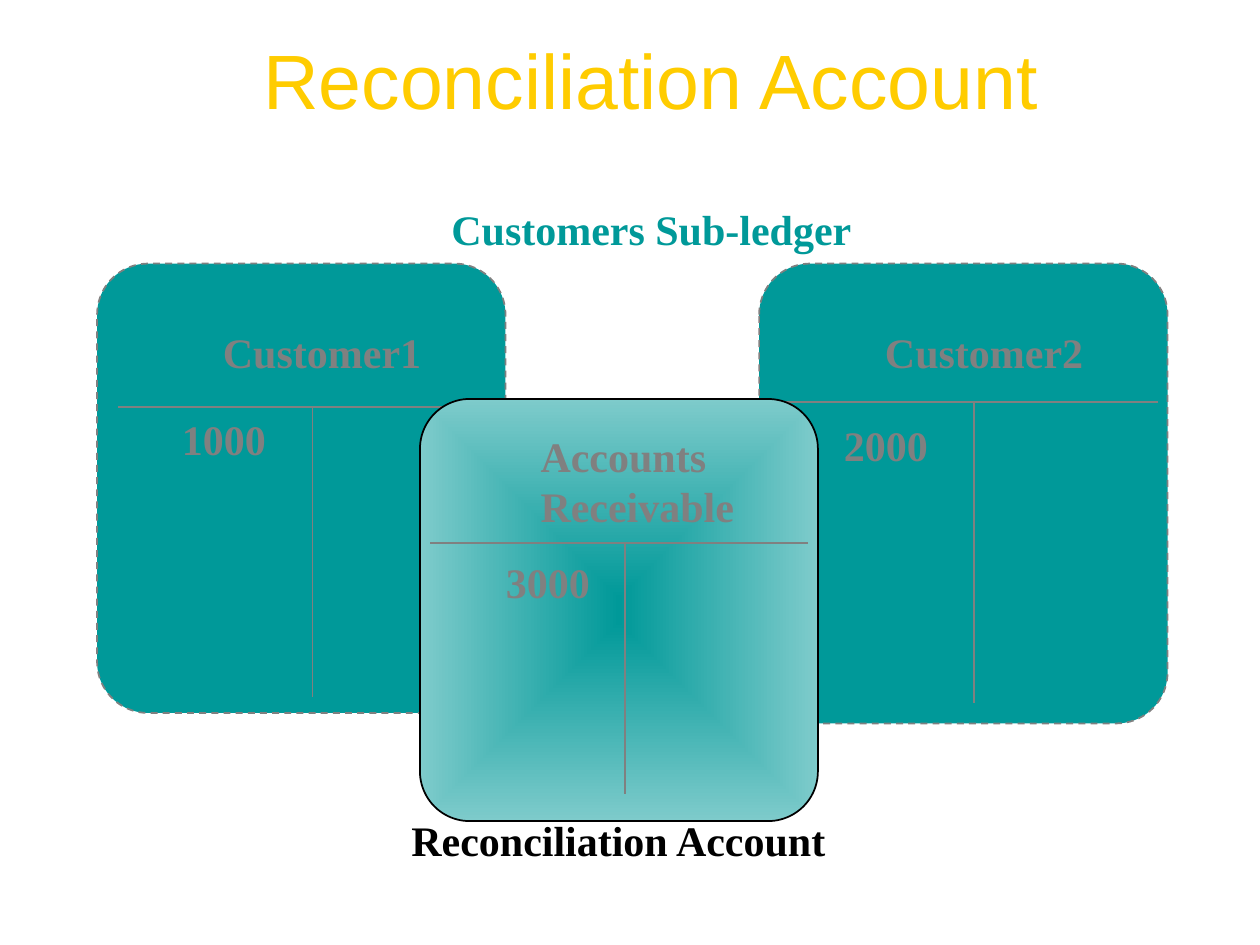
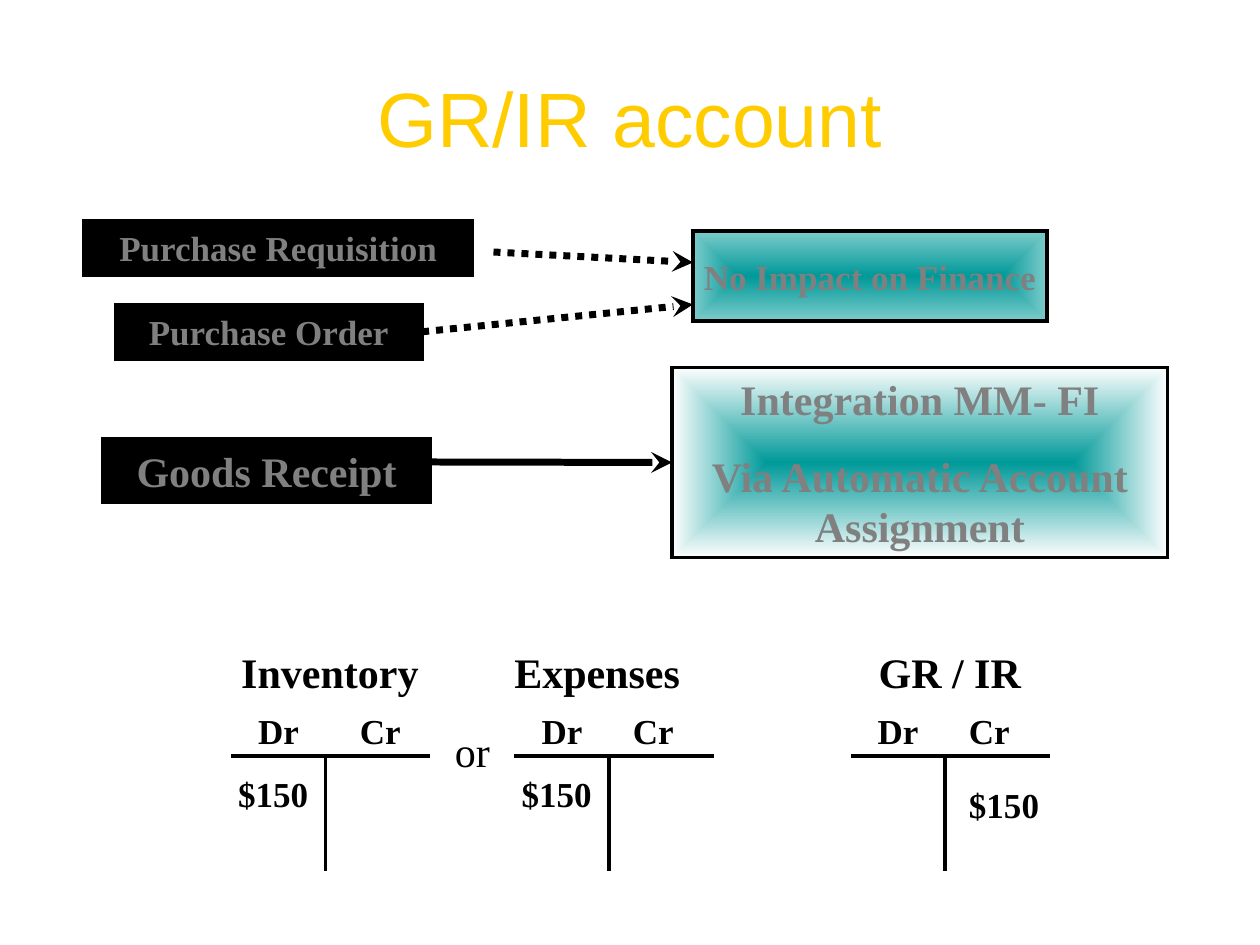
from dataclasses import dataclass
from lxml.etree import SubElement as Sub
from pptx import Presentation
from pptx.dml.color import RGBColor as Rgb
from pptx.enum.dml import MSO_LINE as Dash
from pptx.enum.shapes import MSO_CONNECTOR as Link, MSO_SHAPE as Form
from pptx.enum.text import MSO_ANCHOR as Anchor, MSO_AUTO_SIZE as Fit, PP_ALIGN as Align
from pptx.oxml.ns import qn
from pptx.util import Inches, Pt

WIDE, HIGH = Inches(10), Inches(7.5)
COLS, ROWS = 120, 90


@dataclass(frozen=True)
class Theme:
    gold: str = "FFCC00"
    teal: str = "009999"
    mint: str = "7ECBCB"
    pale: str = "FEFEFE"
    gray: str = "808080"
    black: str = "000000"
    sans: str = "Arial"
    serif: str = "Times New Roman"
    head: int = 44
    body: int = 24
    small: int = 20
    thin: int = 1
    mid: int = 2
    thick: int = 4


T = Theme()


def col(n):
    return round(WIDE * n / COLS)


def row(n):
    return round(HIGH * n / ROWS)


def span(box):
    """Turn left, top, width, height on the grid into lengths."""
    x, y, w, h = box
    return col(x), row(y), col(w), row(h)


def write(shape, text, size=T.body, color=T.black, font=T.serif, bold=True,
          align=Align.LEFT, anchor=Anchor.TOP, wrap=True, gap=0, tab=None):
    frame = shape.text_frame
    frame.auto_size, frame.word_wrap = Fit.NONE, wrap
    frame.vertical_anchor = anchor
    frame.text = text
    for i, para in enumerate(frame.paragraphs):
        if tab:
            stops = Sub(para._p.get_or_add_pPr(), qn("a:tabLst"))
            Sub(stops, qn("a:tab"), pos=str(col(tab)), algn="l")
        para.alignment = align
        if i:
            para.space_before = Pt(gap)
        para.font.size, para.font.bold, para.font.name = Pt(size), bold, font
        para.font.color.rgb = Rgb.from_string(color)


def label(slide, box, text, **form):
    write(slide.shapes.add_textbox(*span(box)), text, **form)


def title(slide, box, text):
    head = slide.shapes.title
    head.left, head.top, head.width, head.height = span(box)
    write(head, text, size=T.head, color=T.gold, font=T.sans, bold=False,
          align=Align.CENTER, anchor=Anchor.MIDDLE)


def stroke(line, color, width, dash=None):
    line.color.rgb = Rgb.from_string(color)
    line.width = Pt(width)
    if dash:
        line.dash_style = dash
    Sub(line._get_or_add_ln(), qn("a:miter"), lim="800000")


def shade(fill, color, edge=None):
    """Fill plainly, or from the centre colour out to the edge colour."""
    if not edge:
        fill.solid()
        fill.fore_color.rgb = Rgb.from_string(color)
        return
    fill.gradient()
    for stop, tone, place in zip(fill.gradient_stops, (color, edge), (0, 1)):
        stop.color.rgb, stop.position = Rgb.from_string(tone), place


def block(slide, box, color, edge=None, form=Form.RECTANGLE,
          line=T.black, width=T.mid, dash=None):
    shape = slide.shapes.add_shape(form, *span(box))
    shape.shadow.inherit = False
    shade(shape.fill, color, edge)
    if edge:
        grad = shape._element.spPr.find(qn("a:gradFill"))
        grad.remove(grad.find(qn("a:lin")))
        ray = Sub(grad, qn("a:path"), path="rect")
        Sub(ray, qn("a:fillToRect"), l="50000", t="50000", r="50000", b="50000")
    stroke(shape.line, line, width, dash)
    return shape


def rule(slide, start, end, color=T.black, width=T.mid, dash=None, arrow=False):
    (x1, y1), (x2, y2) = start, end
    line = slide.shapes.add_connector(
        Link.STRAIGHT, col(x1), row(y1), col(x2), row(y2))
    stroke(line.line, color, width, dash)
    if arrow:
        Sub(line.line._get_or_add_ln(), qn("a:tailEnd"), type="stealth")
    Sub(line._element.spPr, qn("a:effectLst"))
    return line


def cross(slide, x, y, wide, stem, deep, **look):
    """Draw the T of an account, from the left end of its bar."""
    rule(slide, (x, y), (x + wide, y), **look)
    rule(slide, (x + stem, y), (x + stem, y + deep), **look)


# Ledger cards

def card(slide, box, name, sum_, bar, inset, foot, name_at, sum_at, **look):
    x, y, w, h = box
    shape = block(slide, box, T.teal, form=Form.ROUNDED_RECTANGLE,
                  width=T.thin, **look)
    shape.adjustments[0] = 0.125
    cross(slide, x + inset, y + bar, 36, 18.5, h - bar - foot,
          color=T.gray, width=T.thin)
    dx, dy = name_at
    label(slide, (x + dx, y + dy, w - dx, bar - dy), name, color=T.gray)
    dx, dy = sum_at
    label(slide, (x + inset + dx, y + bar + dy, 11, 6), sum_, color=T.gray)


def ledger(slide):
    title(slide, (11, 0, 102, 15), "Reconciliation Account")
    label(slide, (41.8, 18.8, 40.5, 6), "Customers Sub-ledger",
          color=T.teal, wrap=False)
    sub = dict(inset=2, name_at=(10.8, 5.4), line=T.gray, dash=Dash.DASH)
    card(slide, (72.3, 25.1, 38.9, 43.8), "Customer2", "2000",
         bar=13.2, foot=1.9, sum_at=(4.9, 1.1), **sub)
    card(slide, (9.25, 25.1, 38.9, 42.8), "Customer1", "1000",
         bar=13.7, foot=1.5, sum_at=(4.9, 0), **sub)
    card(slide, (40, 38, 37.9, 40.2), "Accounts Receivable", "3000",
         bar=13.7, foot=2.6, inset=1, name_at=(10.3, 2.4), sum_at=(6, 0.7),
         edge=T.mint)
    label(slide, (38, 77, 57.2, 6), "Reconciliation Account")


# Purchasing steps and their effect on finance

def flow(slide):
    mid = dict(color=T.gray, align=Align.CENTER)
    steps = (
        ("Purchase Requisition", (8, 21, 37, 5.2), T.small),
        ("Purchase Order", (11, 29, 29.2, 5.2), T.small),
        ("Goods Receipt", (9.8, 41.8, 31.2, 6), T.body),
    )
    made = []
    for text, box, size in steps:
        made.append(block(slide, box, T.black))
        write(made[-1], text, size=size, **mid)

    none = block(slide, (66, 22, 33.7, 8.6), T.teal, T.mint)
    write(none, "No Impact on Finance", size=T.small,
          anchor=Anchor.MIDDLE, wrap=False, **mid)
    post = block(slide, (64, 35, 47.2, 18.1), T.teal, T.pale)
    write(post, "Integration MM- FI\nVia Automatic Account Assignment",
          gap=15, **mid)

    look = dict(width=T.thick, arrow=True)
    dots = dict(look, dash=Dash.ROUND_DOT)
    rule(slide, (47, 24), (66, 25), **dots)
    rule(slide, (40, 32), (66, 29), **dots).begin_connect(made[1], 3)
    rule(slide, (41, 44), (64, 44), **look).end_connect(post, 1)


# T-accounts

def account(slide, x, y, name, shift, tab, sum_at):
    cross(slide, x, y, 19, 9, 11)
    label(slide, (x + shift, y - 11, 23, 6), name)
    label(slide, (x + 1.4, y - 5, 17, 5.2), "Dr\tCr", size=T.small, tab=tab)
    dx, dy = sum_at
    label(slide, (x + dx, y + dy, 10, 5.2), "$150", size=T.small)


def clear(slide):
    title(slide, (6, 3.6, 108, 15), "GR/IR account")
    flow(slide)
    books = (
        (22, "Inventory", -0.2, 9.7, (-0.5, 1)),
        (49, "Expenses", -1.2, 8.7, (-0.5, 1)),
        (81, "GR / IR", 1.5, 8.7, (10.1, 2)),
    )
    for x, *rest in books:
        account(slide, x, 72, *rest)
    either = slide.shapes.add_shape(Form.OVAL, *span((41, 68, 8, 7)))
    either.shadow.inherit = False
    either.fill.background()
    either.line.fill.background()
    write(either, "or", bold=False, align=Align.CENTER,
          anchor=Anchor.MIDDLE, wrap=False)


def main():
    deck = Presentation()
    deck.slide_width, deck.slide_height = WIDE, HIGH
    for build in (ledger, clear):
        build(deck.slides.add_slide(deck.slide_layouts[5]))
    deck.save("out.pptx")


if __name__ == "__main__":
    main()
